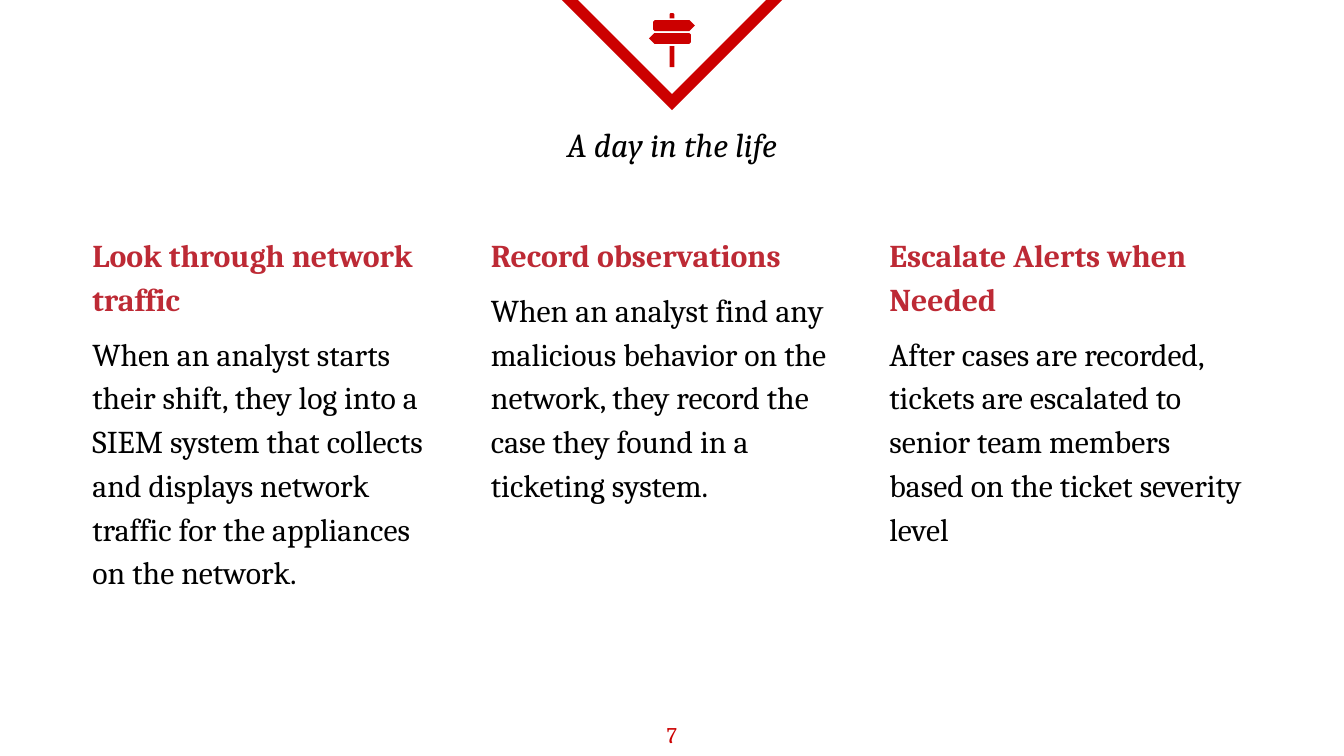
from lxml.etree import SubElement as Sub
from pptx import Presentation
from pptx.dml.color import RGBColor
from pptx.enum.shapes import MSO_SHAPE as Kind
from pptx.enum.text import MSO_ANCHOR as Anchor, PP_ALIGN as Align
from pptx.oxml.ns import qn
from pptx.util import Pt

RED, ROSE, BLACK = "CC0000", "BD2A35", "000000"
MID = 360  # centre line of the slide
TITLE = {"size": Pt(18), "italic": True}
HEAD = {"size": Pt(17), "bold": True}
BODY = {"size": Pt(17), "bold": False}
PAGE = {"size": Pt(12)}
MIDDLE = {"alignment": Align.CENTER}
FLOW = {"alignment": Align.LEFT, "line_spacing": 1.15, "space_before": Pt(6)}

STEPS = [
    ("Look through network traffic",
     "When an analyst starts their shift, they log into a SIEM system that "
     "collects and displays network traffic for the appliances on the network."),
    ("Record observations",
     "When an analyst find any malicious behavior on the network, they record "
     "the case they found in a ticketing system."),
    ("Escalate Alerts when Needed",
     "After cases are recorded, tickets are escalated to senior team members "
     "based on the ticket severity level"),
]


def tint(code):
    return RGBColor.from_string(code)


def apply(item, form):
    for name, value in form.items():
        setattr(item, name, value)


def add_text(slide, box, lines, layout):
    """Each line is (text, colour, font format)."""
    frame = slide.shapes.add_textbox(*map(Pt, box)).text_frame
    apply(frame, {"word_wrap": True, "vertical_anchor": Anchor.TOP})
    apply(frame, {f"margin_{side}": Pt(7.2)
                  for side in ("left", "top", "right", "bottom")})
    for i, (text, code, form) in enumerate(lines):
        para = frame.add_paragraph() if i else frame.paragraphs[0]
        apply(para, layout)
        run = para.add_run()
        run.text = text
        apply(run.font, {"name": "Cambria", **form})
        run.font.color.rgb = tint(code)


def add_badge(slide):
    """Open triangle that points down from the top edge."""
    shape = slide.shapes.add_shape(
        Kind.ISOSCELES_TRIANGLE, Pt(MID - 59), Pt(-4.3), Pt(118), Pt(59))
    apply(shape, {"rotation": 180})
    shape.shadow.inherit = False
    shape.fill.background()
    shape.line.color.rgb = tint(RED)
    shape.line.width = Pt(6)
    Sub(shape.line._get_or_add_ln(), qn("a:miter"), lim="800000")


def add_patch(shapes, points):
    spots = [(Pt(x), Pt(y)) for x, y in points]
    pen = shapes.build_freeform(*spots[0])
    pen.add_line_segments(spots[1:], close=True)
    shape = pen.convert_to_shape()
    shape.shadow.inherit = False
    shape.fill.solid()
    shape.fill.fore_color.rgb = tint(RED)
    shape.line.fill.background()


def add_sign(shapes, top, way):
    """Arrow board with cut corners; way is 1 for right, -1 for left."""
    outline = [(-9.3, 0), (-10.1, 0.8), (-10.1, 5), (-9.3, 5.8),
               (9.4, 5.8), (12.3, 2.9), (9.4, 0)]
    add_patch(shapes, [(MID + way * x, top + y) for x, y in outline])


def add_post(shapes, top, base, cut=0):
    add_patch(shapes, [(MID - 1.3, base), (MID - 1.3, top + cut),
                       (MID - 1.3 + cut, top), (MID + 1.3 - cut, top),
                       (MID + 1.3, top + cut), (MID + 1.3, base)])


def add_icon(slide):
    shapes = slide.shapes.add_group_shape().shapes
    add_sign(shapes, 10.8, 1)
    add_sign(shapes, 17.7, -1)
    add_post(shapes, 7, 9.8, 0.6)
    add_post(shapes, 24.7, 36)


def main():
    deck = Presentation()
    apply(deck, {"slide_width": Pt(720), "slide_height": Pt(405)})
    slide = deck.slides.add_slide(deck.slide_layouts[6])
    add_badge(slide)
    add_text(slide, (81.4, 59, 557.2, 42.5),
             [("A day in the life", BLACK, TITLE)], MIDDLE)
    for i, (head, body) in enumerate(STEPS):
        add_text(slide, (42.4 + 213.5 * i, 116, 203, 272),
                 [(head, ROSE, HEAD), (body, BLACK, BODY)], FLOW)
    add_icon(slide)
    add_text(slide, (0, 379, 720, 26), [("7", RED, PAGE)], MIDDLE)
    deck.save("out.pptx")


if __name__ == "__main__":
    main()
